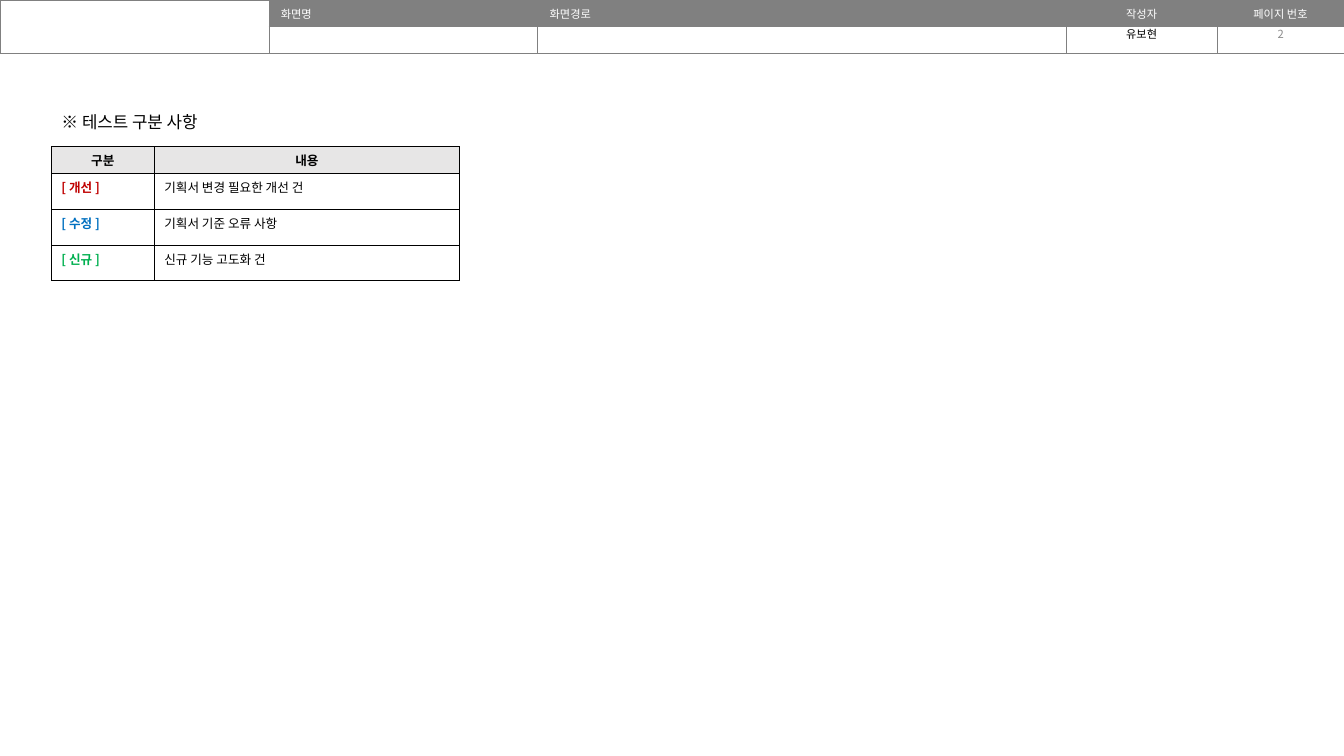
from pptx import Presentation
from pptx.dml.color import RGBColor
from pptx.enum.text import MSO_ANCHOR as ANCHOR, MSO_AUTO_SIZE as AUTO, PP_ALIGN as ALIGN
from pptx.oxml import parse_xml
from pptx.oxml.ns import nsdecls
from pptx.util import Pt

FONT = "Noto Sans CJK KR"
COLORS = {
    "bar": "808080", "head": "E7E6E6", "white": "FFFFFF", "text": "000000",
    "page": "8C8C8C", "improve": "C00000", "fix": "0070C0", "new": "00B050",
}


def write(tf, text, size, color="text", bold=False, align=ALIGN.LEFT):
    p = tf.paragraphs[0]
    p.alignment = align
    p.font.size = Pt(size)
    if text:
        r = p.add_run()
        r.text = text
        r.font.name = FONT
        r.font.size = Pt(size)
        r.font.bold = bold
        r.font.color.rgb = RGBColor.from_string(COLORS[color])


def style_cell(cell, fill, border):
    if fill:
        cell.fill.solid()
        cell.fill.fore_color.rgb = RGBColor.from_string(COLORS[fill])
    else:
        cell.fill.background()
    tcPr = cell._tc.get_or_add_tcPr()
    for i, side in enumerate(("lnL", "lnR", "lnT", "lnB")):
        tcPr.insert(i, parse_xml(
            f'<a:{side} {nsdecls("a")} w="{Pt(0.25)}"><a:solidFill>'
            f'<a:srgbClr val="{COLORS[border]}"/></a:solidFill></a:{side}>'))


def add_grid(s, x, y, widths, heights):
    shape = s.shapes.add_table(len(heights), len(widths), Pt(x), Pt(y),
                               Pt(sum(widths)), Pt(sum(heights)))
    table = shape.table
    table.first_row = table.horz_banding = False
    for col, w in zip(table.columns, widths):
        col.width = Pt(w)
    for row, h in zip(table.rows, heights):
        row.height = Pt(h)
    return table


def add_header(s, x, y, row_h, author, page):
    widths = [192, 192, 377.5, 108, 90.5]
    labels = ["", "화면명", "화면경로", "작성자", "페이지 번호"]
    table = add_grid(s, x, y, widths, [row_h] * 2)
    for c, label in enumerate(labels):
        align = ALIGN.CENTER if c > 2 else ALIGN.LEFT
        for r, text in enumerate((label, "")):
            cell = table.cell(r, c)
            cell.margin_left = cell.margin_right = Pt(8.64)
            style_cell(cell, "bar" if label and r == 0 else None, "bar")
            write(cell.text_frame, text, 8, "white", align=align)
    table.cell(0, 0).merge(table.cell(1, 0))

    values = [(author, "text", ANCHOR.TOP), (page, "page", ANCHOR.MIDDLE)]
    for i, (text, color, anchor) in enumerate(values, 3):
        box = s.shapes.add_textbox(Pt(x + sum(widths[:i])), Pt(y + 16),
                                   Pt(widths[i]), Pt(17.2))
        tf = box.text_frame
        tf.word_wrap = True
        tf.vertical_anchor = anchor
        write(tf, text, 8, color, align=ALIGN.CENTER)


def add_title(s, x, y, w, h, text):
    title = s.shapes.title
    title.left, title.top, title.width, title.height = Pt(x), Pt(y), Pt(w), Pt(h)
    tf = title.text_frame
    tf.word_wrap = True
    tf.auto_size = AUTO.SHAPE_TO_FIT_TEXT
    tf.vertical_anchor = ANCHOR.TOP
    write(tf, text, 12)


def add_categories(s, x, y, rows):
    table = add_grid(s, x, y, [73.5, 218], [19.3] + [25.5] * len(rows))
    for c, text in enumerate(("구분", "내용")):
        cell = table.cell(0, c)
        style_cell(cell, "head", "text")
        write(cell.text_frame, text, 9, bold=True, align=ALIGN.CENTER)
    for r, (tag, color, detail) in enumerate(rows, 1):
        for c, (text, tint) in enumerate(((tag, color), (detail, "text"))):
            cell = table.cell(r, c)
            style_cell(cell, None, "text")
            write(cell.text_frame, text, 9, tint, bold=c == 0)


def main():
    prs = Presentation()
    prs.slide_width, prs.slide_height = Pt(960), Pt(540)
    s = prs.slides.add_slide(prs.slide_layouts[5])
    add_header(s, 0, 0, 19, "유보현", "2")
    add_title(s, 36.7, 76.3, 251.3, 21.6, "※ 테스트 구분 사항")
    add_categories(s, 36.7, 104.5, [
        ("[ 개선 ]", "improve", "기획서 변경 필요한 개선 건"),
        ("[ 수정 ]", "fix", "기획서 기준 오류 사항"),
        ("[ 신규 ]", "new", "신규 기능 고도화 건"),
    ])
    prs.save("out.pptx")


if __name__ == "__main__":
    main()
